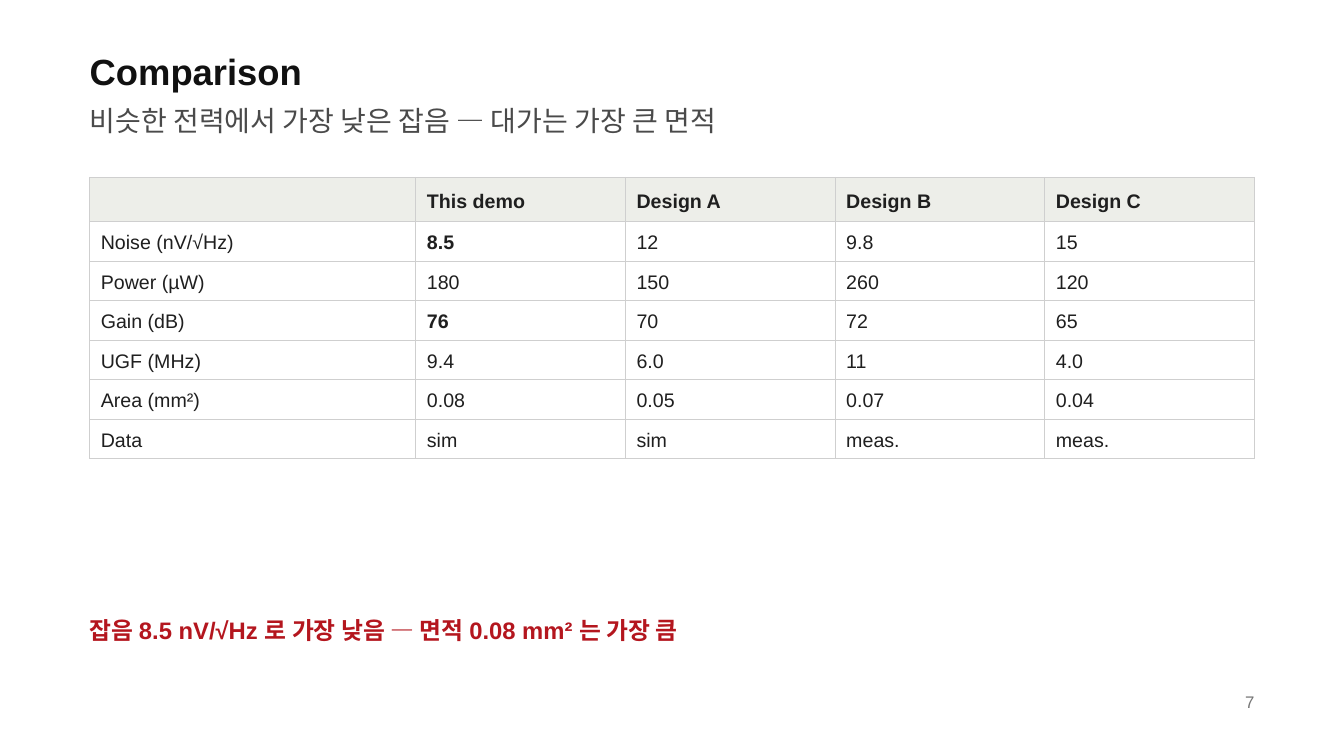
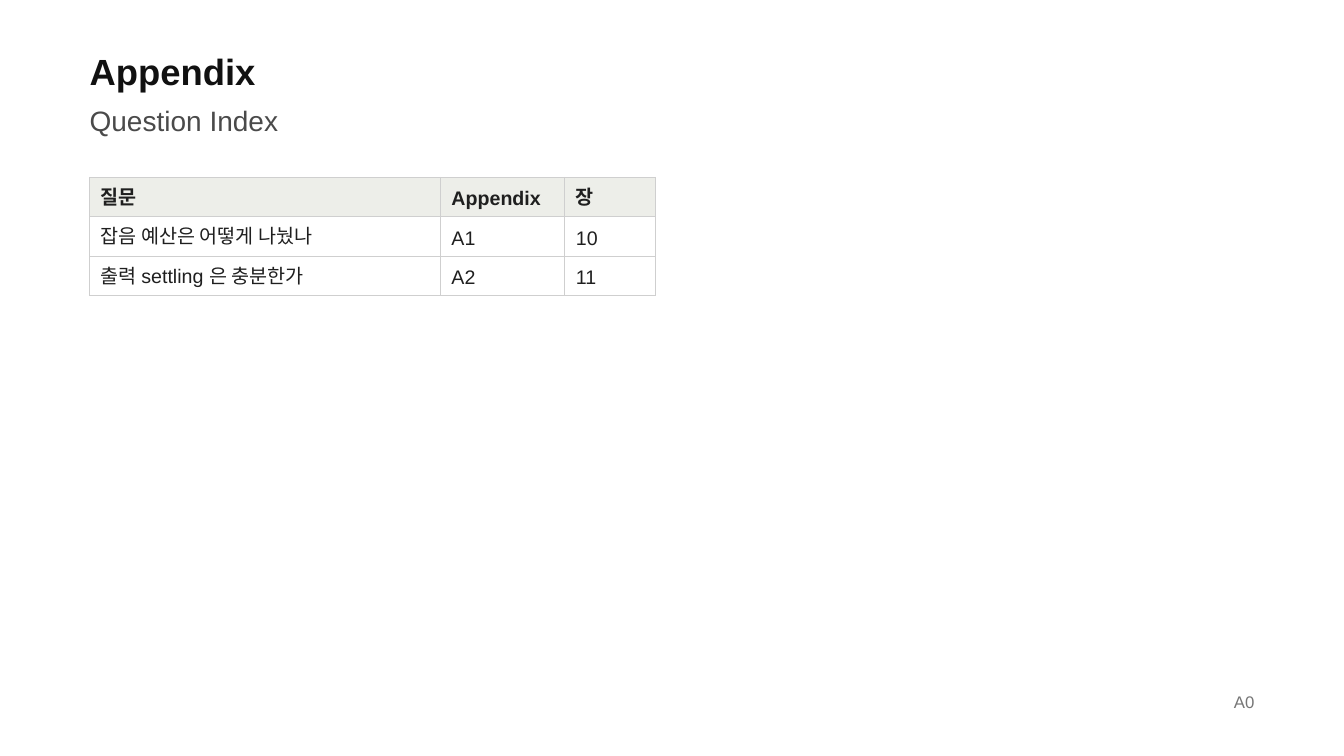
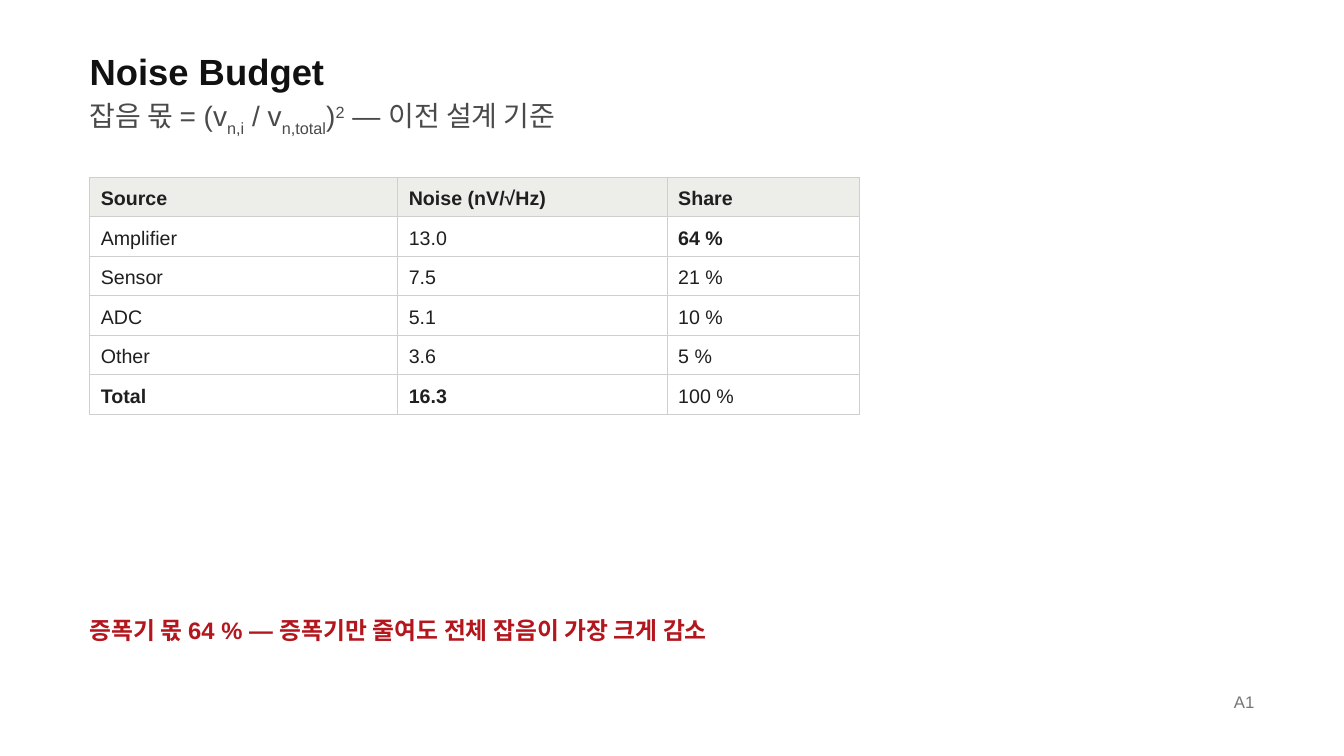
from lxml import etree
from pptx import Presentation
from pptx.dml.color import RGBColor
from pptx.enum.text import MSO_ANCHOR, PP_ALIGN
from pptx.oxml.ns import qn
from pptx.util import Pt

LEFT = PP_ALIGN.LEFT
RIGHT = PP_ALIGN.RIGHT
TOP = MSO_ANCHOR.TOP
MIDDLE = MSO_ANCHOR.MIDDLE
BOTTOM = MSO_ANCHOR.BOTTOM

SUBSCRIPT = -25
SUPERSCRIPT = 30


def color(hex_string):
    return RGBColor.from_string(hex_string)


class Deck:
    FONT = "Arial"
    TITLE = "111111"
    SUBTITLE = "4A4A4A"
    BODY = "1F1F1F"
    ACCENT = "B4161E"
    MUTED = "767676"
    HEADER_FILL = "EDEEE9"
    CELL_FILL = "FFFFFF"
    RULE = "CFCFCF"
    MARGIN = 64
    WIDTH = 832
    TABLE_TOP = 126.7
    ROW_HEIGHT = 28.2

    def __init__(self):
        self.presentation = Presentation()
        self.presentation.slide_width = Pt(960)
        self.presentation.slide_height = Pt(540)
        self.slide = None

    def add_slide(self, title, subtitle, page):
        """Start a slide; subtitle is a string or a list of (text, baseline percent)."""
        layout = self.presentation.slide_layouts[6]
        self.slide = self.presentation.slides.add_slide(layout)
        self.add_text(title, self.MARGIN, 36, self.WIDTH, 30, 26, self.TITLE, 29.9, bold=True)
        self.add_text(subtitle, self.MARGIN, 72, self.WIDTH, 26, 20, self.SUBTITLE, 26)
        page_width = 120
        page_left = self.MARGIN + self.WIDTH - page_width
        self.add_text(page, page_left, 494, page_width, 14.4, 12, self.MUTED, 14.4,
                      align=RIGHT, anchor=BOTTOM)

    def add_message(self, text):
        self.add_text(text, self.MARGIN, 438, self.WIDTH, 22, 17, self.ACCENT, 22.1, bold=True)

    def add_text(self, content, left, top, width, height, size, hex_string, line_spacing,
                 bold=False, align=LEFT, anchor=TOP):
        shape = self.slide.shapes.add_textbox(Pt(left), Pt(top), Pt(width), Pt(height))
        frame = shape.text_frame
        frame.word_wrap = True
        frame.vertical_anchor = anchor
        frame.margin_left = frame.margin_right = frame.margin_top = frame.margin_bottom = 0
        paragraph = frame.paragraphs[0]
        paragraph.alignment = align
        self.fill_paragraph(paragraph, content, size, hex_string, line_spacing, bold)

    def fill_paragraph(self, paragraph, content, size, hex_string, line_spacing, bold):
        paragraph.line_spacing = Pt(line_spacing)
        pieces = [(content, 0)] if isinstance(content, str) else content
        for text, baseline in pieces:
            run = paragraph.add_run()
            run.text = text
            run.font.name = self.FONT
            run.font.size = Pt(size)
            run.font.bold = bold
            run.font.color.rgb = color(hex_string)
            if baseline:
                run._r.get_or_add_rPr().set("baseline", str(baseline * 1000))

    def add_table(self, rows, width, shares, bold_cells=()):
        """Add a table; shares are column percentages, bold_cells are (row, column) pairs."""
        frame = self.slide.shapes.add_table(
            len(rows), len(shares), Pt(self.MARGIN), Pt(self.TABLE_TOP),
            Pt(width), Pt(self.ROW_HEIGHT * len(rows)))
        table = frame.table
        table.first_row = table.horz_banding = False
        for column, share in zip(table.columns, shares):
            column.width = Pt(width * share / 100)
        for row_index, values in enumerate(rows):
            table.rows[row_index].height = Pt(self.ROW_HEIGHT)
            for column_index, text in enumerate(values):
                is_header = row_index == 0
                bold = is_header or (row_index, column_index) in bold_cells
                self.fill_cell(table.cell(row_index, column_index), text, is_header, bold)

    def fill_cell(self, cell, text, is_header, bold):
        cell.margin_left = cell.margin_right = Pt(8)
        cell.margin_top = cell.margin_bottom = Pt(5)
        cell.vertical_anchor = MIDDLE
        self.add_borders(cell)
        cell.fill.solid()
        cell.fill.fore_color.rgb = color(self.HEADER_FILL if is_header else self.CELL_FILL)
        if text:
            self.fill_paragraph(cell.text_frame.paragraphs[0], text, 14, self.BODY, 18.2, bold)

    def add_borders(self, cell):
        properties = cell._tc.get_or_add_tcPr()
        for side in ("a:lnL", "a:lnR", "a:lnT", "a:lnB"):
            line = etree.SubElement(properties, qn(side), w=str(Pt(0.75)))
            fill = etree.SubElement(line, qn("a:solidFill"))
            etree.SubElement(fill, qn("a:srgbClr"), val=self.RULE)


def add_comparison(deck):
    deck.add_slide("Comparison", "비슷한 전력에서 가장 낮은 잡음 — 대가는 가장 큰 면적", "7")
    deck.add_message("잡음 8.5 nV/√Hz 로 가장 낮음 — 면적 0.08 mm² 는 가장 큼")
    rows = [
        ("", "This demo", "Design A", "Design B", "Design C"),
        ("Noise (nV/√Hz)", "8.5", "12", "9.8", "15"),
        ("Power (µW)", "180", "150", "260", "120"),
        ("Gain (dB)", "76", "70", "72", "65"),
        ("UGF (MHz)", "9.4", "6.0", "11", "4.0"),
        ("Area (mm²)", "0.08", "0.05", "0.07", "0.04"),
        ("Data", "sim", "sim", "meas.", "meas."),
    ]
    deck.add_table(rows, deck.WIDTH, (28, 18, 18, 18, 18), bold_cells=[(1, 1), (3, 1)])


def add_question_index(deck):
    deck.add_slide("Appendix", "Question Index", "A0")
    rows = [
        ("질문", "Appendix", "장"),
        ("잡음 예산은 어떻게 나눴나", "A1", "10"),
        ("출력 settling 은 충분한가", "A2", "11"),
    ]
    deck.add_table(rows, 404, (62, 22, 16))


def add_noise_budget(deck):
    subtitle = [
        ("잡음 몫 = (v", 0), ("n,i", SUBSCRIPT), (" / v", 0), ("n,total", SUBSCRIPT),
        (")", 0), ("2", SUPERSCRIPT), (" — 이전 설계 기준", 0),
    ]
    deck.add_slide("Noise Budget", subtitle, "A1")
    deck.add_message("증폭기 몫 64 % — 증폭기만 줄여도 전체 잡음이 가장 크게 감소")
    rows = [
        ("Source", "Noise (nV/√Hz)", "Share"),
        ("Amplifier", "13.0", "64 %"),
        ("Sensor", "7.5", "21 %"),
        ("ADC", "5.1", "10 %"),
        ("Other", "3.6", "5 %"),
        ("Total", "16.3", "100 %"),
    ]
    deck.add_table(rows, 550, (40, 35, 25), bold_cells=[(1, 2), (5, 0), (5, 1)])


def main():
    deck = Deck()
    add_comparison(deck)
    add_question_index(deck)
    add_noise_budget(deck)
    deck.presentation.save("out.pptx")


if __name__ == "__main__":
    main()
